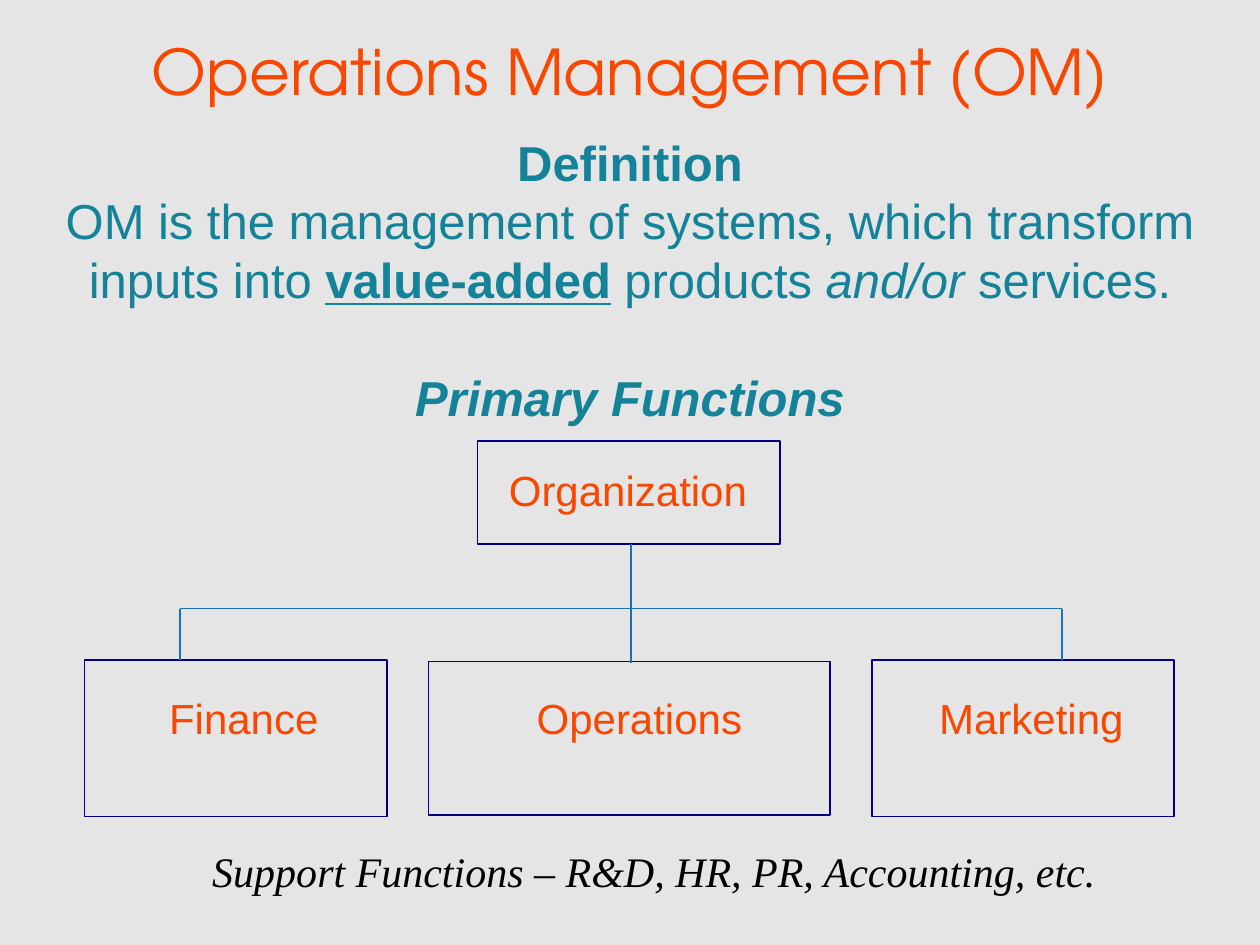
"""Build the Operations Management slide with its organization chart."""
from lxml import etree
from pptx import Presentation
from pptx.dml.color import RGBColor
from pptx.enum import shapes, text
from pptx.oxml import ns
from pptx.util import Inches, Pt

ORANGE, TEAL, NAVY, BLUE = "F84700", "148298", "000080", "206FB1"

TITLE = [[("Operations Management (OM)", {})]]
BODY = [
    [("Definition", {"bold": True})],
    [("OM is the management of systems, which transform inputs into ", {}),
     ("value-added", {"bold": True, "underline": True}),
     (" products", {}),
     (" and/or ", {"italic": True}),
     ("services.", {})],
    [("Primary Functions", {"bold": True, "italic": True})],
]
NOTE = [[("Support Functions – R&D, HR, PR, Accounting, etc.", {"italic": True})]]
UNITS = [
    ("Organization", (3.94, 3.64, 2.09, 0.5), (3.79, 3.5, 2.4, 0.82), "LEFT"),
    ("Finance", (0.77, 5.45, 2.33, 0.5), (0.67, 5.24, 2.4, 1.24), "CENTER"),
    ("Operations", (3.91, 5.45, 2.33, 0.5), (3.4, 5.25, 3.19, 1.22), "CENTER"),
    ("Marketing", (7.02, 5.45, 2.33, 0.5), (6.92, 5.24, 2.4, 1.24), "CENTER"),
]
LEFT, MID, RIGHT, BAR = 1.43, 5.01, 8.43, 4.83
LINES = [
    (MID, 4.32, MID, BAR),
    (LEFT, BAR, RIGHT, BAR),
    (LEFT, BAR, LEFT, 5.24),
    (MID, BAR, MID, 5.26),
    (RIGHT, BAR, RIGHT, 5.24),
]


def tint(code):
    return RGBColor.from_string(code)


def write(slide, paras, at, size, color, font="Arial", align="CENTER", gap=0, pitch=None):
    box = slide.shapes.add_textbox(*map(Inches, at))
    frame = box.text_frame
    frame.word_wrap = True
    for num, runs in enumerate(paras):
        para = frame.add_paragraph() if num else frame.paragraphs[0]
        para.alignment = getattr(text.PP_ALIGN, align)
        para.line_spacing = pitch
        for words, style in runs:
            run = para.add_run()
            run.text = words
            run.font.size = Pt(size)
            run.font.name = font
            run.font.color.rgb = tint(color)
            for key, value in style.items():
                setattr(run.font, key, value)
    if gap:
        para.space_before = Pt(gap)


def frame_box(slide, at):
    box = slide.shapes.add_shape(shapes.MSO_SHAPE.RECTANGLE, *map(Inches, at))
    box.shadow.inherit = False
    box.fill.background()
    box.line.color.rgb = tint(NAVY)
    box.line.width = Pt(1)


def join(slide, ends):
    line = slide.shapes.add_connector(shapes.MSO_CONNECTOR.STRAIGHT, *map(Inches, ends))
    line.line.color.rgb = tint(BLUE)
    line.line.width = Pt(1)
    etree.SubElement(line._element.spPr, ns.qn("a:effectLst"))


def main():
    deck = Presentation()
    deck.slide_width, deck.slide_height = Inches(10), Inches(7.5)
    slide = deck.slides.add_slide(deck.slide_layouts[6])
    slide.background.fill.solid()
    slide.background.fill.fore_color.rgb = tint("E5E5E5")
    write(slide, TITLE, (0, 0.21, 10, 0.7), 36, ORANGE, font="TeX Gyre Adventor")
    write(slide, BODY, (0, 1, 10, 2.43), 28, TEAL, gap=33.5)
    for name, label, box, align in UNITS:
        write(slide, [[(name, {})]], label, 24, ORANGE, align=align)
        frame_box(slide, box)
    for ends in LINES:
        join(slide, ends)
    write(slide, NOTE, (1.38, 6.71, 7.62, 0.79), 24, "000000",
          font="Times New Roman", pitch=0.9)
    deck.save("out.pptx")


if __name__ == "__main__":
    main()
